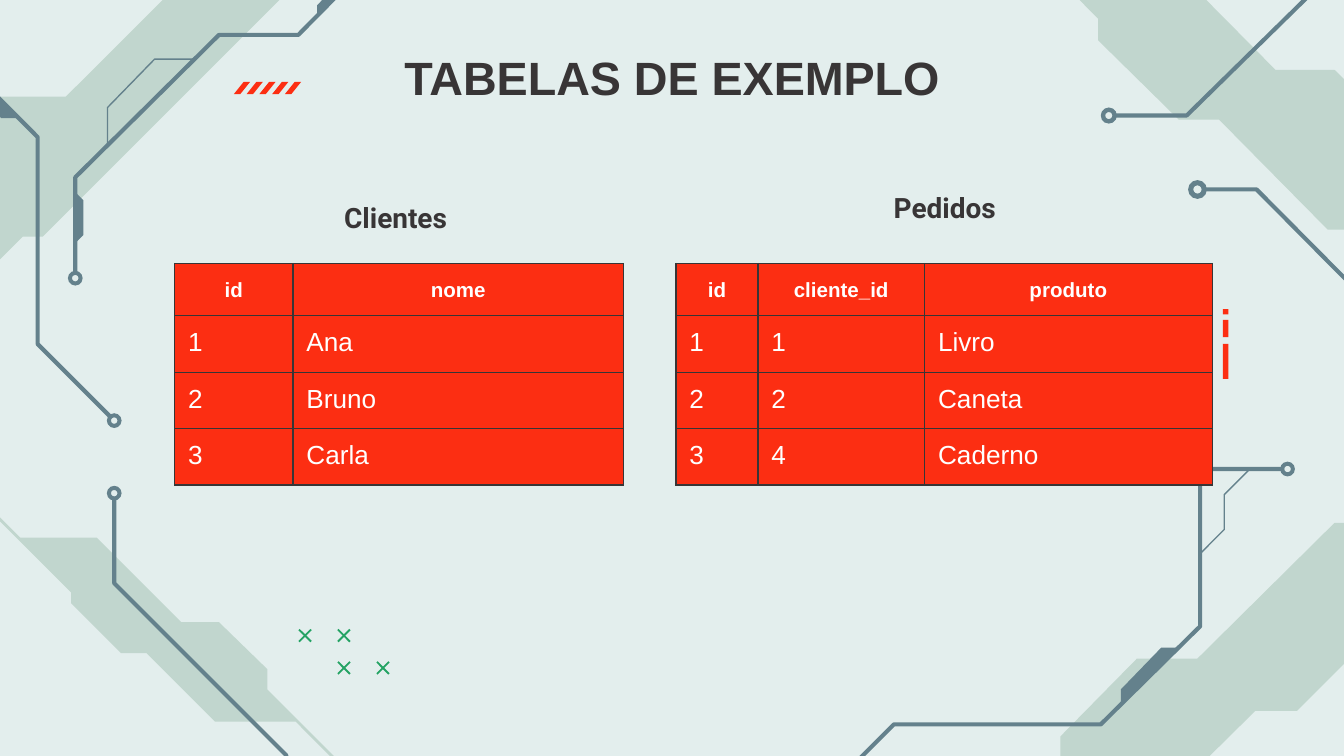
"""Build the example tables slide: clients and orders framed by circuit ornaments."""
import dataclasses

import lxml.etree
import pptx
import pptx.dml.color
import pptx.enum.shapes
import pptx.enum.text
import pptx.oxml.ns
import pptx.util

Inches = pptx.util.Inches
Pt = pptx.util.Pt
RGBColor = pptx.dml.color.RGBColor
MSO_SHAPE = pptx.enum.shapes.MSO_SHAPE
PP_ALIGN = pptx.enum.text.PP_ALIGN
MSO_ANCHOR = pptx.enum.text.MSO_ANCHOR


@dataclasses.dataclass(frozen=True)
class Theme:
    background: RGBColor = RGBColor.from_string("E3EEED")
    panel: RGBColor = RGBColor.from_string("C1D6CE")
    circuit: RGBColor = RGBColor.from_string("64818C")
    accent: RGBColor = RGBColor.from_string("FC2E12")
    cross: RGBColor = RGBColor.from_string("24A364")
    ink: RGBColor = RGBColor.from_string("383536")
    light: RGBColor = RGBColor.from_string("FFFFFF")
    font: str = "Arial"
    label_font: str = "Roboto"
    title_size: Pt = Pt(25)
    label_size: Pt = Pt(15)
    header_size: Pt = Pt(11)
    body_size: Pt = Pt(14)
    trace_width: Pt = Pt(2.2)
    branch_width: Pt = Pt(0.75)
    border_width: Pt = Pt(0.75)


theme = Theme()
presentation = pptx.Presentation()
presentation.slide_width = Inches(10)
presentation.slide_height = Inches(10 * 9 / 16)
slide = presentation.slides.add_slide(presentation.slide_layouts[6])
slide.background.fill.solid()
slide.background.fill.fore_color.rgb = theme.background
shapes = slide.shapes


def draw_path(points, closed=True):
    corners = [(Inches(x), Inches(y)) for x, y in points]
    builder = shapes.build_freeform(*corners[0], scale=1.0)
    builder.add_line_segments(corners[1:], close=closed)
    shape = builder.convert_to_shape()
    shape.shadow.inherit = False
    return shape


def paint(shape, color):
    shape.shadow.inherit = False
    shape.fill.solid()
    shape.fill.fore_color.rgb = color
    shape.line.fill.background()


panels = [
    [(8.49, -0.49), (9.49, 0.52), (9.93, 0.52), (10.5, 1.08), (10.5, 1.35), (10.86, 1.71),
     (9.88, 1.71), (9.07, 0.89), (8.77, 0.89), (8.17, 0.3), (8.17, 0.14), (7.55, -0.49)],
    [(-2.06, 1.79), (-2.08, 1.8), (0.53, 4.41), (0.53, 4.49), (0.9, 4.86), (1.09, 4.86),
     (1.6, 5.37), (2.2, 5.37), (4.82, 8), (4.84, 7.98), (1.99, 5.13), (1.99, 4.98),
     (1.63, 4.63), (1.35, 4.63), (0.72, 4), (0.15, 4)],
    [(9.93, 3.89), (8.91, 4.9), (8.46, 4.9), (7.89, 5.48), (7.89, 5.75), (7.52, 6.11),
     (8.51, 6.11), (9.34, 5.29), (9.65, 5.29), (10.25, 4.69), (10.25, 4.53), (10.89, 3.89)],
    [(1.21, 0), (0.49, 0.72), (-0.16, 0.72), (-1.62, 2.17), (-0.25, 2.18), (0.17, 1.76),
     (0.32, 1.76), (2.08, 0)],
]
for points in panels:
    paint(draw_path(points), theme.panel)

connector_pads = [
    [(8.77, 4.82), (8.64, 4.82), (8.34, 5.13), (8.34, 5.25)],
    [(0.57, 1.44), (0.62, 1.49), (0.62, 1.75), (0.57, 1.8)],
    [(2.62, -0.15), (2.36, 0.11), (2.36, 0.04), (2.54, -0.15)],
    [(-0.29, 0.45), (-0.29, 0.57), (0.01, 0.88), (0.13, 0.88)],
]
for points in connector_pads:
    paint(draw_path(points), theme.circuit)

traces = [
    [(0.85, 3.7), (0.85, 4.34), (2.13, 5.62), (2.13, 6.02)],
    [(8.97, 1.41), (9.35, 1.41), (10.57, 2.64), (11.2, 2.64)],
    [(9.55, 3.49), (8.93, 3.49), (8.93, 4.66), (8.19, 5.39), (6.65, 5.39), (6.1, 5.94)],
    [(3.01, -0.54), (2.22, 0.26), (1.63, 0.26), (0.56, 1.32), (0.56, 2.03)],
    [(8.29, 0.86), (8.83, 0.86), (9.91, -0.2), (10.23, -0.2)],
    [(-1.63, -0.33), (-1.63, 0.29), (-0.45, 0.29), (0.28, 1.02), (0.28, 2.56), (0.83, 3.11)],
]
branches = [
    [(1.45, 0.44), (1.15, 0.44), (0.8, 0.8), (0.8, 1.09)],
    [(9.3, 3.49), (9.11, 3.68), (9.11, 3.94), (8.93, 4.12)],
]
for paths, width in ((traces, theme.trace_width), (branches, theme.branch_width)):
    for points in paths:
        trace = draw_path(points, closed=False)
        trace.fill.background()
        trace.line.color.rgb = theme.circuit
        trace.line.width = width

nodes = [(0.85, 3.67, 0.11), (8.91, 1.41, 0.14), (9.58, 3.49, 0.11),
         (0.56, 2.07, 0.11), (8.25, 0.86, 0.12), (0.85, 3.13, 0.11)]
for x, y, diameter in nodes:
    node = shapes.add_shape(MSO_SHAPE.DONUT, Inches(x - diameter / 2), Inches(y - diameter / 2),
                            Inches(diameter), Inches(diameter))
    node.adjustments[0] = 0.28
    paint(node, theme.circuit)

cross_stroke = [(0.09, 0), (0, 0.09), (0.01, 0.1), (0.1, 0.01)]
for left, top in ((2.51, 4.68), (2.22, 4.68), (2.8, 4.92), (2.51, 4.92)):
    for stroke in (cross_stroke, [(0.1 - x, y) for x, y in cross_stroke]):
        paint(draw_path([(left + x, top + y) for x, y in stroke]), theme.cross)

for index in range(5):
    slash = shapes.add_shape(MSO_SHAPE.PARALLELOGRAM, Inches(1.74 + 0.095 * index), Inches(0.61),
                             Inches(0.12), Inches(0.09))
    slash.adjustments[0] = 0.8
    paint(slash, theme.accent)

for top, height in ((2.3, 0.04), (2.38, 0.13), (2.56, 0.26)):
    bar = shapes.add_shape(MSO_SHAPE.RECTANGLE, Inches(9.1), Inches(top),
                           Inches(0.04), Inches(height))
    paint(bar, theme.accent)

headings = [
    ("TABELAS DE EXEMPLO", 2.36, 0, 5.28, 1.14, theme.font, theme.title_size, MSO_ANCHOR.MIDDLE),
    ("Clientes ", 2.27, 1.39, 1.4, 0.45, theme.label_font, theme.label_size, MSO_ANCHOR.TOP),
    ("Pedidos", 6.33, 1.32, 1.4, 0.45, theme.label_font, theme.label_size, MSO_ANCHOR.TOP),
]
for text, left, top, width, height, font_name, size, anchor in headings:
    text_frame = shapes.add_textbox(Inches(left), Inches(top),
                                    Inches(width), Inches(height)).text_frame
    text_frame.word_wrap = True
    text_frame.vertical_anchor = anchor
    text_frame.margin_left = text_frame.margin_right = Inches(0.1)
    text_frame.margin_top = text_frame.margin_bottom = Inches(0.1)
    text_frame.text = text
    paragraph = text_frame.paragraphs[0]
    paragraph.alignment = PP_ALIGN.CENTER
    font = paragraph.runs[0].font
    font.name, font.size, font.bold = font_name, size, True
    font.color.rgb = theme.ink

tables = [
    (1.3, [0.88, 2.46], [["id", "nome"], ["1", "Ana"], ["2", "Bruno"], ["3", "Carla"]]),
    (5.03, [0.61, 1.24, 2.14], [["id", "cliente_id", "produto"], ["1", "1", "Livro"],
                                ["2", "2", "Caneta"], ["3", "4", "Caderno"]]),
]
for left, column_widths, rows in tables:
    table = shapes.add_table(len(rows), len(column_widths), Inches(left), Inches(1.96),
                             Inches(sum(column_widths)), Inches(1.65)).table
    table.horz_banding = False
    for column, width in zip(table.columns, column_widths):
        column.width = Inches(width)
    for row_index, values in enumerate(rows):
        is_header = row_index == 0
        table.rows[row_index].height = Inches(0.39 if is_header else 0.42)
        for column_index, value in enumerate(values):
            cell = table.cell(row_index, column_index)
            cell.margin_left = cell.margin_right = Inches(0.1)
            cell.margin_top = cell.margin_bottom = Inches(0.09)
            properties = cell._tc.get_or_add_tcPr()
            for side in ("a:lnL", "a:lnR", "a:lnT", "a:lnB"):
                border = lxml.etree.SubElement(properties, pptx.oxml.ns.qn(side),
                                               w=str(theme.border_width))
                border_fill = lxml.etree.SubElement(border, pptx.oxml.ns.qn("a:solidFill"))
                lxml.etree.SubElement(border_fill, pptx.oxml.ns.qn("a:srgbClr"),
                                      val=str(theme.ink))
            cell.fill.solid()
            cell.fill.fore_color.rgb = theme.accent
            cell.text_frame.text = value
            paragraph = cell.text_frame.paragraphs[0]
            if is_header:
                paragraph.alignment = PP_ALIGN.CENTER
                paragraph.line_spacing = 1.15
            font = paragraph.runs[0].font
            font.name, font.bold = theme.font, is_header
            font.size = theme.header_size if is_header else theme.body_size
            font.color.rgb = theme.light

presentation.save("out.pptx")
